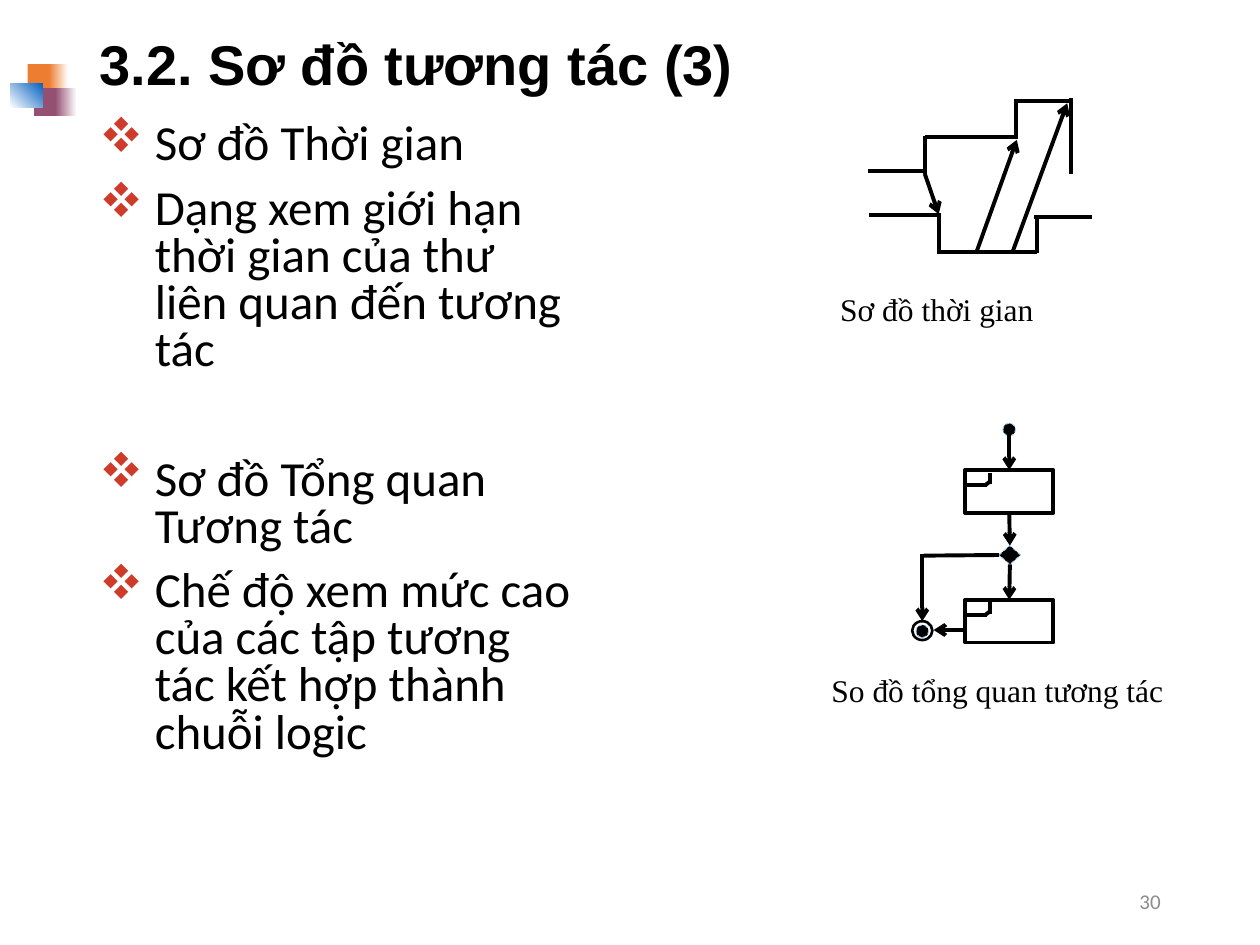
"""Builds the slide on timing diagrams and interaction overview diagrams."""
from lxml import etree
from pptx import Presentation
from pptx.dml.color import RGBColor
from pptx.enum import dml, shapes, text
from pptx.oxml import ns
from pptx.util import Inches, Pt

C = {"black": "000000", "grey": "8C8C8C", "red": "CE3B2A", "orange": "ED7D31",
     "plum": "954F72", "blue": "0563C1", "white": "FFFFFF", "sky": "99CCFF"}
RECT = shapes.MSO_SHAPE.RECTANGLE
OVAL = shapes.MSO_SHAPE.OVAL
DIAMOND = shapes.MSO_SHAPE.DIAMOND

prs = Presentation()
prs.slide_width, prs.slide_height = Inches(10), Inches(7.5)
s = prs.slides.add_slide(prs.slide_layouts[6])


def add_text(content, at, font, size, color="black", bold=False, align="LEFT",
             anchor="TOP", spacing=1.0, before=(0,), bullet=None):
    tf = s.shapes.add_textbox(*map(Inches, at)).text_frame
    tf.word_wrap = True
    tf.vertical_anchor = text.MSO_ANCHOR[anchor]
    tf.text = content
    for p, gap in zip(tf.paragraphs, before):
        p.alignment = text.PP_ALIGN[align]
        p.line_spacing, p.space_before = spacing, Pt(gap)
        r = p.runs[0]
        r.font.name, r.font.size, r.font.bold = font, Pt(size), bold
        r.font.color.rgb = RGBColor.from_string(C[color])
        if bullet:
            pPr = p._p.get_or_add_pPr()
            pPr.set("marL", str(Inches(0.44)))
            pPr.set("indent", str(-Inches(0.44)))
            clr = etree.SubElement(pPr, ns.qn("a:buClr"))
            etree.SubElement(clr, ns.qn("a:srgbClr"), val=C["red"])
            etree.SubElement(pPr, ns.qn("a:buFont"), typeface="Wingdings", charset="2")
            etree.SubElement(pPr, ns.qn("a:buChar"), char=bullet)


def add_line(x1, y1, x2, y2, arrow=False):
    ln = s.shapes.add_connector(shapes.MSO_CONNECTOR.STRAIGHT,
                                *map(Inches, (x1, y1, x2, y2)))
    ln.line.width = Pt(2.25)
    ln.line.color.rgb = RGBColor.from_string(C["black"])
    if arrow:
        etree.SubElement(ln.line._get_or_add_ln(), ns.qn("a:tailEnd"), type="arrow")
    etree.SubElement(ln._element.spPr, ns.qn("a:effectLst"))
    return ln


for at, colors, angle in [
    ((0.22, 0.51, 0.2, 0.22), ["orange"], 0),
    ((0.39, 0.51, 0.15, 0.22), ["orange", "white"], 0),
    ((0.27, 0.7, 0.19, 0.22), ["plum"], 0),
    ((0.44, 0.7, 0.17, 0.22), ["plum", "white"], 0),
    ((0.08, 0.66, 0.26, 0.19), ["white", "blue"], 45),
]:
    sp = s.shapes.add_shape(RECT, *map(Inches, at))
    sp.shadow.inherit = False
    sp.line.fill.background()
    if len(colors) == 1:
        sp.fill.solid()
        sp.fill.fore_color.rgb = RGBColor.from_string(C[colors[0]])
    else:
        sp.fill.gradient()
        sp.fill.gradient_angle = angle
        for stop, name in zip(sp.fill.gradient_stops, colors):
            stop.color.rgb = RGBColor.from_string(C[name])

add_text("3.2. Sơ đồ tương tác (3)", (0.69, 0.13, 8.62, 0.81), "Arial", 32,
         bold=True, anchor="MIDDLE", spacing=0.9)
add_text("Sơ đồ Thời gian\n"
         "Dạng xem giới hạn thời gian của thư liên quan đến tương tác\n"
         "Sơ đồ Tổng quan Tương tác\n"
         "Chế độ xem mức cao của các tập tương tác kết hợp thành chuỗi logic",
         (0.69, 0.93, 3.98, 5.66), "Calibri", 28, spacing=0.8,
         before=(10, 10, 47, 10), bullet="v")
add_text("30", (7.06, 6.95, 2.25, 0.4), "Calibri", 12, color="grey",
         align="RIGHT", anchor="MIDDLE")
add_text("Sơ đồ thời gian", (6.57, 2.25, 2.74, 0.4), "Times New Roman", 18)
add_text("So đồ tổng quan tương tác", (6.5, 5.28, 2.92, 0.4), "Times New Roman", 18)

for ends in [
    (6.89, 1.36, 7.34, 1.36), (7.34, 1.38, 7.34, 1.08), (7.34, 1.09, 8.08, 1.09),
    (8.06, 1.09, 8.06, 0.8), (8.05, 0.8, 8.51, 0.8), (8.5, 1.38, 8.5, 0.78),
    (6.9, 1.71, 7.47, 1.71), (7.45, 2, 7.45, 1.7), (7.44, 2, 8.23, 2),
    (8.23, 2.01, 8.23, 1.72), (8.21, 1.72, 8.67, 1.72),
]:
    add_line(*ends)
for ends in [(7.34, 1.38, 7.45, 1.7), (7.75, 2, 8.07, 1.11), (8.04, 1.99, 8.47, 0.82)]:
    add_line(*ends, arrow=True)

nodes = {}
for name, kind, at, fill, line, width in [
    ("start", OVAL, (7.96, 3.36, 0.1, 0.1), "black", "sky", 0.5),
    ("first", RECT, (7.66, 3.73, 0.7, 0.34), None, "black", 2.25),
    ("decision", DIAMOND, (7.93, 4.33, 0.17, 0.15), "black", "sky", 0.5),
    ("second", RECT, (7.66, 4.76, 0.7, 0.34), None, "black", 2.25),
    ("end ring", OVAL, (7.24, 4.93, 0.16, 0.15), None, "black", 1.5),
    ("end dot", OVAL, (7.27, 4.96, 0.1, 0.1), "black", "sky", 0.5),
]:
    sp = nodes[name] = s.shapes.add_shape(kind, *map(Inches, at))
    sp.shadow.inherit = False
    sp.line.color.rgb = RGBColor.from_string(C[line])
    sp.line.width = Pt(width)
    if fill:
        sp.fill.solid()
        sp.fill.fore_color.rgb = RGBColor.from_string(C[fill])
        sp.line.dash_style = dml.MSO_LINE.DASH
    else:
        sp.fill.background()

for top in (3.73, 4.76):
    add_line(7.66, top + 0.12, 7.83, top + 0.12)
    add_line(7.82, top + 0.12, 7.86, top + 0.09)
    add_line(7.86, top + 0.11, 7.86, top + 0.02)

add_line(8.01, 3.45, 8.01, 3.73, arrow=True).end_connect(nodes["first"], 0)
ln = add_line(8.01, 4.07, 8.01, 4.35, arrow=True)
ln.begin_connect(nodes["first"], 2)
ln.end_connect(nodes["decision"], 0)
ln = add_line(8.02, 4.48, 8.02, 4.74, arrow=True)
ln.begin_connect(nodes["decision"], 2)
ln.end_connect(nodes["second"], 0)
add_line(7.95, 4.41, 7.33, 4.41).begin_connect(nodes["decision"], 1)
add_line(7.32, 4.4, 7.32, 4.93, arrow=True)
add_line(7.66, 5, 7.41, 5, arrow=True)

prs.save("out.pptx")
